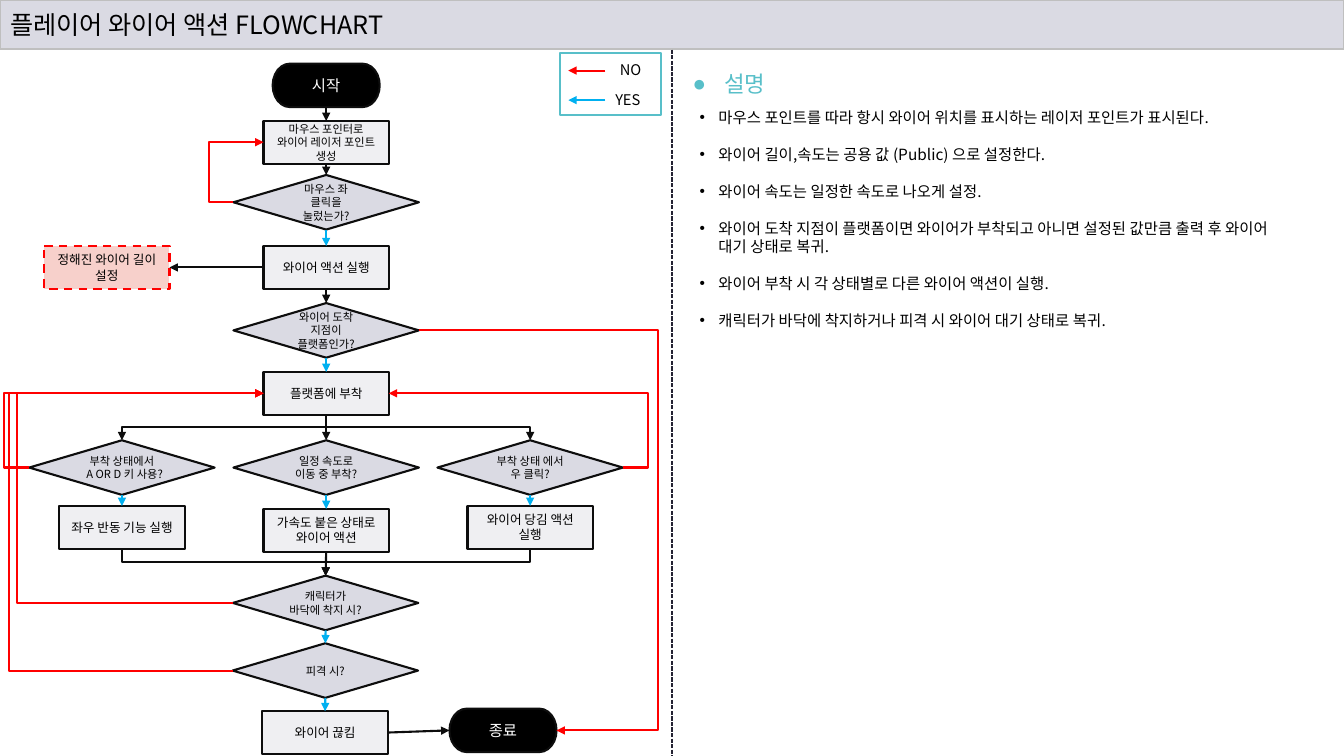
from dataclasses import dataclass
from typing import NamedTuple, Optional

from lxml.etree import SubElement
from pptx import Presentation
from pptx.dml.color import RGBColor
from pptx.enum.dml import MSO_LINE as Dash
from pptx.enum.shapes import MSO_CONNECTOR as Wire, MSO_SHAPE as Shape
from pptx.enum.text import MSO_ANCHOR as Anchor, MSO_AUTO_SIZE as Fit, PP_ALIGN as Align
from pptx.oxml.ns import qn
from pptx.util import Pt


@dataclass(frozen=True)
class Theme:
    font: str = "Noto Sans CJK KR"
    ink: str = "000000"
    edge: str = "0D0D0D"
    white: str = "FFFFFF"
    bar: str = "DADAE3"
    bar_edge: str = "BFBFBF"
    step: str = "EFEFF2"
    warn: str = "F7D0CB"
    no: str = "FF0000"
    yes: str = "00B0F0"
    accent: str = "58BFC9"
    divider: str = "242333"
    title: float = 18
    heading: float = 16
    body: float = 11
    legend: float = 10.5
    label: float = 9
    small: float = 8
    stroke: float = 1.5


THEME = Theme()


class Kind(NamedTuple):
    shape: Shape
    width: float
    height: float
    fill: str
    size: float
    ink: str = THEME.ink
    edge: str = THEME.edge
    dash: Optional[Dash] = None


class Node(NamedTuple):
    kind: Kind
    center: float
    top: float
    text: str
    size: Optional[float] = None

    def side(self, name: str) -> tuple[float, float]:
        """Return the middle point of one side."""
        half, tall = self.kind.width / 2, self.kind.height
        dx, dy = {"top": (0, 0), "bottom": (0, tall),
                  "left": (-half, tall / 2), "right": (half, tall / 2)}[name]
        return self.center + dx, self.top + dy


class Link(NamedTuple):
    source: str
    target: str
    color: str = THEME.edge
    exit: str = "bottom"
    entry: str = "top"
    lane: Optional[float] = None  # x of the vertical run


END = Kind(Shape.FLOWCHART_TERMINATOR, 76.5, 31, THEME.ink, THEME.body, THEME.white)
STEP = Kind(Shape.FLOWCHART_PROCESS, 89.5, 30.5, THEME.step, THEME.label)
ASK = Kind(Shape.FLOWCHART_DECISION, 132.5, 39, THEME.bar, THEME.small)
NOTE = STEP._replace(fill=THEME.warn, edge=THEME.no, dash=Dash.DASH)

LEFT, MIDDLE, RIGHT = 87.1, 233, 378.7
NODES = {
    "start": Node(END, MIDDLE, 45.5, "시작"),
    "aim": Node(STEP, MIDDLE, 86.4, "마우스 포인터로 와이어 레이저 포인트 생성", THEME.small),
    "click": Node(ASK, MIDDLE, 125, "마우스 좌 클릭을 눌렀는가?"),
    "fire": Node(STEP, MIDDLE, 175.8, "와이어 액션 실행"),
    "length": Node(NOTE, 76.3, 175.8, "정해진 와이어 길이 설정"),
    "reach": Node(ASK, MIDDLE, 216.5, "와이어 도착 지점이 플랫폼인가?"),
    "attach": Node(STEP, MIDDLE, 265.7, "플랫폼에 부착"),
    "keys": Node(ASK, LEFT, 314.5, "부착 상태에서 A OR D 키 사용?"),
    "moving": Node(ASK, MIDDLE, 314.5, "일정 속도로 이동 중 부착?"),
    "right_click": Node(ASK, RIGHT, 314.5, "부착 상태 에서 우 클릭?"),
    "swing": Node(STEP, LEFT, 361.4, "좌우 반동 기능 실행"),
    "speed": Node(STEP, MIDDLE, 363.6, "가속도 붙은 상태로 와이어 액션"),
    "pull": Node(STEP, RIGHT, 361.4, "와이어 당김 액션 실행"),
    "land": Node(ASK, 232.6, 411.2, "캐릭터가 바닥에 착지 시?"),
    "hit": Node(ASK, 232.4, 459.5, "피격 시?"),
    "cut": Node(STEP, 232.2, 508, "와이어 끊킴"),
    "end": Node(END, 359.3, 506.2, "종료"),
}
LINKS = [
    Link("start", "aim"), Link("aim", "click"),
    Link("click", "fire", THEME.yes), Link("fire", "reach"),
    Link("fire", "length", exit="left", entry="right"),
    Link("reach", "attach", THEME.yes),
    *(Link("attach", ask) for ask in ("keys", "moving", "right_click")),
    Link("keys", "swing", THEME.yes), Link("moving", "speed", THEME.yes),
    Link("right_click", "pull", THEME.yes),
    *(Link(step, "land") for step in ("swing", "speed", "pull")),
    Link("land", "hit", THEME.yes), Link("hit", "cut", THEME.yes),
    Link("cut", "end", exit="right", entry="left"),
    Link("click", "aim", THEME.no, "left", "left", 149),
    Link("reach", "end", THEME.no, "right", "right", 470.2),
    Link("keys", "attach", THEME.no, "left", "left", 2.9),
    Link("right_click", "attach", THEME.no, "right", "right", 463),
    Link("land", "attach", THEME.no, "left", "left", 12.5),
    Link("hit", "attach", THEME.no, "left", "left", 6.5),
]
NOTES = [
    "마우스 포인트를 따라 항시 와이어 위치를 표시하는 레이저 포인트가 표시된다.",
    "와이어 길이,속도는 공용 값 (Public) 으로 설정한다.",
    "와이어 속도는 일정한 속도로 나오게 설정.",
    "와이어 도착 지점이 플랫폼이면 와이어가 부착되고 아니면 설정된 값만큼 출력 후 와이어 대기 상태로 복귀.",
    "와이어 부착 시 각 상태별로 다른 와이어 액션이 실행.",
    "캐릭터가 바닥에 착지하거나 피격 시 와이어 대기 상태로 복귀.",
]


def rgb(color: str) -> RGBColor:
    return RGBColor.from_string(color)


def outline(box, color: str, width: float = THEME.stroke, dash: Optional[Dash] = None) -> None:
    box.line.color.rgb = rgb(color)
    box.line.width = Pt(width)
    if dash is not None:
        box.line.dash_style = dash


def paint(box, fill: str) -> None:
    box.fill.solid()
    box.fill.fore_color.rgb = rgb(fill)


def place(box, left: float, top: float, width: float, height: float) -> None:
    box.left, box.top, box.width, box.height = map(Pt, (left, top, width, height))


def write(box, *lines: str, size: float, color: str = THEME.ink, align: Align = Align.LEFT,
          anchor: Anchor = Anchor.TOP, gap: float = 0, bullet: str = "", indent: float = 0) -> None:
    frame = box.text_frame
    frame.word_wrap, frame.auto_size, frame.vertical_anchor = True, Fit.NONE, anchor
    for index, line in enumerate(lines):
        para = frame.paragraphs[0] if index == 0 else frame.add_paragraph()
        para.alignment, para.space_before = align, Pt(gap if index else 0)
        if bullet:
            props = para._p.get_or_add_pPr()
            props.set("marL", str(Pt(indent)))
            props.set("indent", str(-Pt(indent)))
            SubElement(props, qn("a:buChar")).set("char", bullet)
        span = para.add_run()
        span.text = line
        span.font.size, span.font.name, span.font.color.rgb = Pt(size), THEME.font, rgb(color)
        SubElement(span._r.get_or_add_rPr(), qn("a:ea")).set("typeface", THEME.font)


def wire(shapes, begin, end, color: str, kind: Wire = Wire.STRAIGHT, arrow: bool = True,
         width: float = THEME.stroke, dash: Optional[Dash] = None):
    line = shapes.add_connector(kind, *map(Pt, (*begin, *end)))
    outline(line, color, width, dash)
    props = line._element.spPr
    if arrow:
        SubElement(props.find(qn("a:ln")), qn("a:tailEnd")).set("type", "triangle")
    SubElement(props, qn("a:effectLst"))
    return line


def draw_node(page, node: Node) -> None:
    kind = node.kind
    box = page.shapes.add_shape(kind.shape, *map(Pt, (
        node.center - kind.width / 2, node.top, kind.width, kind.height)))
    box.shadow.inherit = False
    paint(box, kind.fill)
    outline(box, kind.edge, dash=kind.dash)
    write(box, node.text, size=node.size or kind.size, color=kind.ink,
          align=Align.CENTER, anchor=Anchor.MIDDLE)


def draw_link(page, link: Link) -> None:
    x1, y1 = NODES[link.source].side(link.exit)
    x2, y2 = NODES[link.target].side(link.entry)
    dx, dy = x2 - x1, y2 - y1
    if link.lane is not None:  # sideways elbow through its lane
        line = wire(page.shapes, (x1, y1), (x2, y2), link.color, Wire.ELBOW)
        guide = SubElement(line._element.spPr.prstGeom.get_or_add_avLst(), qn("a:gd"))
        guide.set("name", "adj1")
        guide.set("fmla", f"val {round((link.lane - x1) / dx * 100000)}")
    elif link.exit == "bottom" and abs(dx) > 20:  # downward elbow: turned a quarter
        x, y = (x1 + x2) / 2, (y1 + y2) / 2
        run = dy / 2 if dx > 0 else -dy / 2
        line = wire(page.shapes, (x + run, y - abs(dx) / 2), (x - run, y + abs(dx) / 2),
                    link.color, Wire.ELBOW)
        line._element.spPr.find(qn("a:xfrm")).set("rot", str((270 if dx > 0 else 90) * 60000))
    else:
        wire(page.shapes, (x1, y1), (x2, y2), link.color)


def draw_legend(page) -> None:
    group = page.shapes.add_group_shape()
    frame = group.shapes.add_shape(Shape.RECTANGLE, *map(Pt, (400, 38, 72.3, 44.4)))
    frame.shadow.inherit = False
    frame.fill.background()
    outline(frame, THEME.accent)
    for text, color, left, y in (("NO", THEME.no, 435.6, 50.4), ("YES", THEME.yes, 432.4, 71.5)):
        wire(group.shapes, (432.4, y), (406, y), color)
        label = group.shapes.add_textbox(*map(Pt, (left, y - 10.2, 49.7, 20.7)))
        write(label, text, size=THEME.legend)


def main() -> None:
    deck = Presentation()
    deck.slide_width, deck.slide_height = Pt(960), Pt(540)
    page = deck.slides.add_slide(deck.slide_layouts[3])
    title, heading, notes = page.placeholders

    # Title bar and divider
    place(title, 0, 0, 960, 35)
    paint(title, THEME.bar)
    outline(title, THEME.bar_edge)
    write(title, "플레이어 와이어 액션 FLOWCHART", size=THEME.title, anchor=Anchor.MIDDLE)
    wire(page.shapes, (480, 35.5), (480, 540), THEME.divider, arrow=False, width=1, dash=Dash.SQUARE_DOT)

    # Explanation
    place(heading, 487.6, 46.8, 133, 26.6)
    write(heading, "설명", size=THEME.heading, color=THEME.accent, bullet="●", indent=22.5)
    place(notes, 492.5, 73.4, 433.5, 167)
    write(notes, *NOTES, size=THEME.body, gap=13.2, bullet="•", indent=13.5)

    # Flowchart
    for node in NODES.values():
        draw_node(page, node)
    for link in LINKS:
        draw_link(page, link)
    draw_legend(page)
    deck.save("out.pptx")


if __name__ == "__main__":
    main()
